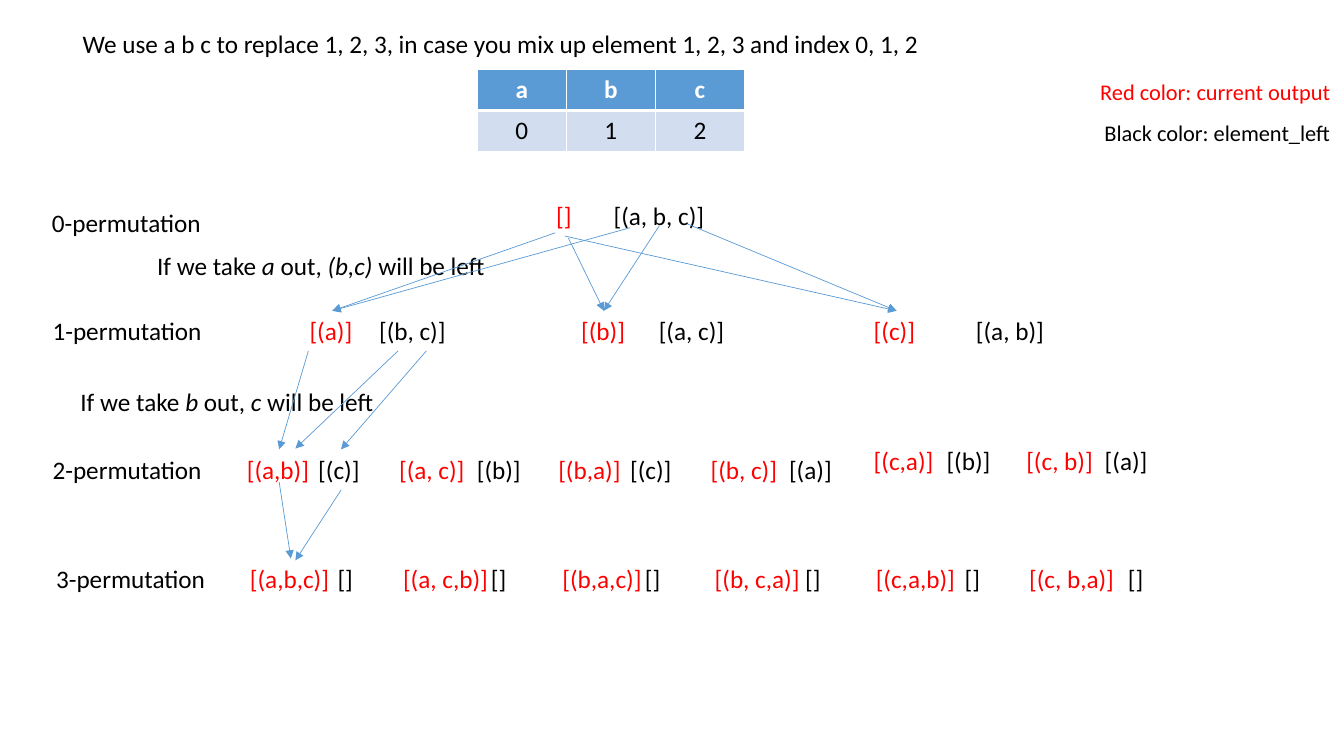
from lxml.etree import SubElement
from pptx import Presentation
from pptx.dml.color import RGBColor
from pptx.enum.shapes import MSO_CONNECTOR
from pptx.enum.text import MSO_AUTO_SIZE, PP_ALIGN
from pptx.oxml.ns import qn
from pptx.util import Pt

RED, BLACK, WHITE = "FF0000", "000000", "FFFFFF"
BLUE, PALE = "5B9BD5", "D2DEEF"
TOP, BOTTOM = 0, 2
# Box width by number of characters in a tree label
WIDTH = {2: 26.4, 5: 46.8, 7: 60.4, 8: 64.8, 9: 72.8, 10: 77.2, 11: 80.8}


def color(code):
    return RGBColor.from_string(code)


class Board:
    font, size = "Calibri", 18

    def __init__(self, slide):
        self.slide = slide

    def style(self, para, code, size=None, bold=False):
        for run in para.runs:
            run.font.name = self.font
            run.font.size = Pt(size or self.size)
            run.font.bold = bold
            run.font.color.rgb = color(code)

    def text(self, words, x, y, w, code=BLACK, size=None, wrap=False):
        """Add a text box; every second part of a list of words is italic."""
        high = 29.08 if size is None else 26.66
        box = self.slide.shapes.add_textbox(Pt(x), Pt(y), Pt(w), Pt(high))
        frame = box.text_frame
        frame.word_wrap = wrap
        frame.auto_size = MSO_AUTO_SIZE.SHAPE_TO_FIT_TEXT
        para = frame.paragraphs[0]
        if isinstance(words, str):
            para.text = words
        else:
            for i, part in enumerate(words):
                run = para.add_run()
                run.text = part
                run.font.italic = i % 2 == 1
        self.style(para, code, size)
        return box

    def row(self, y, nodes):
        """Add pairs of taken (red) and left (black) labels; return the boxes."""
        boxes = []
        for taken, x, left, far, drop in nodes:
            boxes.append((
                self.text(taken, x, y + drop, WIDTH[len(taken)], RED),
                self.text(left, far, y + drop, WIDTH[len(left)])))
        return boxes

    def edge(self, cell, tag):
        """Give one side of a cell a thick white border."""
        props = cell._tc.get_or_add_tcPr()
        line = SubElement(props, qn(tag), w=str(Pt(3)))
        fill = SubElement(line, qn("a:solidFill"))
        SubElement(fill, qn("a:srgbClr"), val=WHITE)
        props.insert(0, line)

    def table(self, rows, x, y, w, h):
        frame = self.slide.shapes.add_table(
            len(rows), len(rows[0]), Pt(x), Pt(y), Pt(w), Pt(h))
        for r, line in enumerate(rows):
            for c, word in enumerate(line):
                cell = frame.table.cell(r, c)
                cell.text = word
                cell.fill.solid()
                cell.fill.fore_color.rgb = color(PALE if r else BLUE)
                self.edge(cell, "a:lnT" if r else "a:lnB")
                para = cell.text_frame.paragraphs[0]
                para.alignment = PP_ALIGN.CENTER
                self.style(para, BLACK if r else WHITE, bold=r == 0)

    def arrow(self, start, end):
        """Draw an arrow; each end is a point or a (box, side) pair."""
        ends = []
        for spot, side in (start, end):
            if isinstance(spot, (int, float)):
                ends += [Pt(spot), Pt(side)]
            else:
                ends += [spot.left + spot.width // 2,
                         spot.top + (spot.height if side == BOTTOM else 0)]
        line = self.slide.shapes.add_connector(MSO_CONNECTOR.STRAIGHT, *ends)
        if not isinstance(start[0], (int, float)):
            line.begin_connect(*start)
        if not isinstance(end[0], (int, float)):
            line.end_connect(*end)
        line.line.color.rgb = color(BLUE)
        line.line.width = Pt(0.5)
        SubElement(line.line._get_or_add_ln(), qn("a:tailEnd"), type="triangle")
        SubElement(line._element.spPr, qn("a:effectLst"))


def main():
    deck = Presentation()
    deck.slide_width, deck.slide_height = Pt(960), Pt(540)
    board = Board(deck.slides.add_slide(deck.slide_layouts[6]))

    board.text("We use a b c to replace 1, 2, 3, in case you mix up "
               "element 1, 2, 3 and index 0, 1, 2", 52, 16.8, 628, wrap=True)
    board.table(["abc", "012"], 340.8, 49.7, 191, 58.4)
    board.text("Red color: current output", 778.8, 52, 182, RED, 16)
    board.text("Black color: element_left", 781.8, 81.4, 179, BLACK, 16)

    for i, (x, y) in enumerate([(30, 144.6), (30.5, 222), (30.5, 321), (33, 399)]):
        board.text(f"{i}-permutation", x, y, 122.4)
    board.text(["If we take ", "a", " out, ", "(b,c) ", "will be left"],
               105.2, 175.3, 251.2)
    board.text(["If we take ", "b", " out, ", "c ", "will be left"],
               50.4, 272.5, 227)

    # Taken label and its x, left label and its x, offset below the row
    root = board.row(139.5, [("[]", 390.2, "[(a, b, c)]", 431.2, 0)])[0][0]
    ones = board.row(222, [
        ("[(a)]", 214, "[(b, c)]", 263.7, 0),
        ("[(b)]", 408, "[(a, c)]", 463.5, 0),
        ("[(c)]", 617, "[(a, b)]", 690, 0)])
    twos = board.row(321, [
        ("[(a,b)]", 169.2, "[(c)]", 220.2, 0),
        ("[(a, c)]", 278, "[(b)]", 333.5, 0),
        ("[(b,a)]", 391.7, "[(c)]", 443, 0),
        ("[(b, c)]", 500.5, "[(a)]", 556.5, 0),
        ("[(c,a)]", 617, "[(b)]", 669, -6.4),
        ("[(c, b)]", 726, "[(a)]", 782, -6.4)])
    threes = board.row(399, [
        ("[(a,b,c)]", 171.4, "[]", 234, 0),
        ("[(a, c,b)]", 280.8, "[]", 343.5, 0),
        ("[(b,a,c)]", 394.6, "[]", 453.6, 0),
        ("[(b, c,a)]", 503.4, "[]", 568, 0),
        ("[(c,a,b)]", 618.5, "[]", 682, 0),
        ("[(c, b,a)]", 728, "[]", 798.5, 0)])

    one_a, one_b, one_c = [(taken, TOP) for taken, _ in ones]
    two_ab, two_c = twos[0]
    for start, end in [
            ((396.7, 166.3), one_a), ((450, 162.7), one_a),
            ((470.9, 161.3), one_b), ((406, 170), one_b),
            ((root, BOTTOM), one_c), ((491, 160), one_c),
            ((220.3, 250.6), (two_ab, TOP)), ((284.4, 250.6), (211, 320.4)),
            ((304.6, 250.6), (two_c, TOP)),
            ((199.4, 344.2), (threes[0][0], TOP)),
            ((two_c, BOTTOM), (211, 400.3))]:
        board.arrow(start, end)

    deck.save("out.pptx")


if __name__ == "__main__":
    main()
